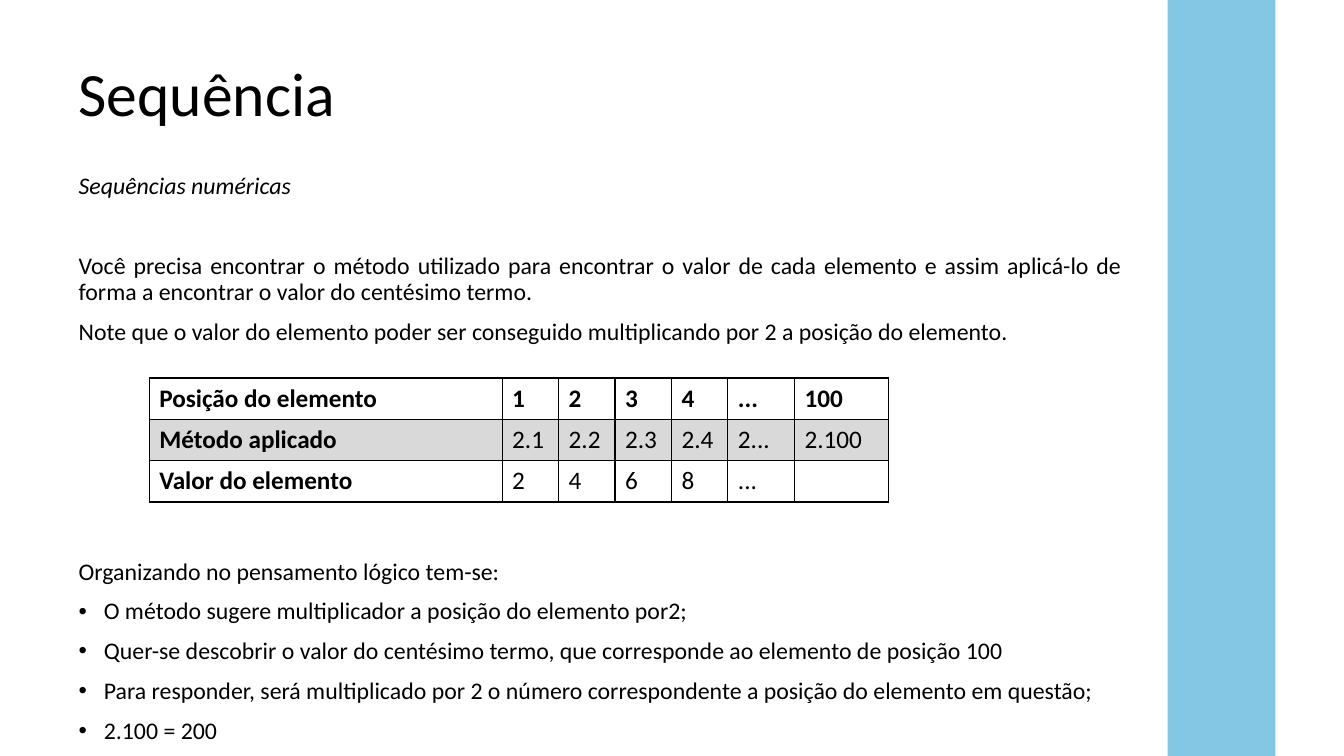
from dataclasses import dataclass

from lxml import etree
from pptx import Presentation
from pptx.dml.color import RGBColor
from pptx.enum.shapes import MSO_SHAPE
from pptx.enum.text import MSO_ANCHOR, MSO_AUTO_SIZE, PP_ALIGN
from pptx.oxml.ns import qn
from pptx.util import Inches, Pt

RECTANGLE = MSO_SHAPE.RECTANGLE
TOP, MIDDLE = MSO_ANCHOR.TOP, MSO_ANCHOR.MIDDLE
LEFT, JUSTIFY = PP_ALIGN.LEFT, PP_ALIGN.JUSTIFY
NO_AUTOFIT = MSO_AUTO_SIZE.NONE

COLORS = {"stripe": "83C7E5", "ink": "000000", "paper": "FFFFFF", "method": "D9D9D9"}
FONT = "Calibri"
BULLET_INDENT = Inches(0.25)


@dataclass(frozen=True)
class Line:
    text: str
    before: float = 10
    italic: bool = False
    bullet: bool = False


@dataclass(frozen=True)
class TableRow:
    label: str
    values: tuple[str, ...]
    fill: str = "paper"
    bold: bool = False


EXPLANATION = (
    Line("Sequências numéricas", before=0, italic=True),
    Line("Você precisa encontrar o método utilizado para encontrar o valor de cada "
         "elemento e assim aplicá-lo de forma a encontrar o valor do centésimo termo.",
         before=38.7),
    Line("Note que o valor do elemento poder ser conseguido multiplicando por 2 "
         "a posição do elemento."),
    Line("Organizando no pensamento lógico tem-se:", before=153),
    Line("O método sugere multiplicador a posição do elemento por2;", bullet=True),
    Line("Quer-se descobrir o valor do centésimo termo, que corresponde ao elemento "
         "de posição 100", bullet=True),
    Line("Para responder, será multiplicado por 2 o número correspondente a posição "
         "do elemento em questão;", bullet=True),
    Line("2.100 = 200", bullet=True),
)

SEQUENCE_ROWS = (
    TableRow("Posição do elemento", ("1", "2", "3", "4", "...", "100"), bold=True),
    TableRow("Método aplicado", ("2.1", "2.2", "2.3", "2.4", "2...", "2.100"), "method"),
    TableRow("Valor do elemento", ("2", "4", "6", "8", "...", "")),
)
COLUMN_WIDTHS = (3.5, 0.56, 0.56, 0.56, 0.56, 0.66, 0.93)
ROW_HEIGHT = 0.41


def color(name: str) -> RGBColor:
    return RGBColor.from_string(COLORS[name])


def write(paragraph, text: str, *, size: float, bold: bool = False, italic: bool = False,
          align=LEFT, before: float = 0, spacing: float = 1.0) -> None:
    paragraph.alignment = align
    paragraph.line_spacing = spacing
    paragraph.space_before = Pt(before)
    run = paragraph.add_run()
    run.text = text
    run.font.name = FONT
    run.font.size = Pt(size)
    run.font.bold = bold
    run.font.italic = italic
    run.font.color.rgb = color("ink")


def set_bullet(paragraph, bullet: bool) -> None:
    properties = paragraph._p.get_or_add_pPr()
    indent = BULLET_INDENT if bullet else 0
    properties.set("marL", str(indent))
    properties.set("indent", str(-indent))
    if bullet:
        etree.SubElement(properties, qn("a:buFont"), typeface="Arial")
        etree.SubElement(properties, qn("a:buChar"), char="•")
    else:
        etree.SubElement(properties, qn("a:buNone"))


def place(placeholder, top: float, height: float, anchor):
    placeholder.left, placeholder.top = Inches(0.68), Inches(top)
    placeholder.width, placeholder.height = Inches(10.55), Inches(height)
    frame = placeholder.text_frame
    frame.word_wrap = True
    frame.auto_size = NO_AUTOFIT
    frame.vertical_anchor = anchor
    return frame


def draw_stripe(slide) -> None:
    stripe = slide.shapes.add_shape(RECTANGLE, Inches(11.58), 0, Inches(1.07), Inches(7.5))
    stripe.shadow.inherit = False
    stripe.fill.solid()
    stripe.fill.fore_color.rgb = color("stripe")
    stripe.line.fill.background()


def draw_explanation(frame, lines: tuple[Line, ...]) -> None:
    for index, line in enumerate(lines):
        paragraph = frame.add_paragraph() if index else frame.paragraphs[0]
        set_bullet(paragraph, line.bullet)
        write(paragraph, line.text, size=17, italic=line.italic, align=JUSTIFY,
              before=line.before, spacing=0.9)


def outline_cell(cell) -> None:
    properties = cell._tc.get_or_add_tcPr()
    for side in ("a:lnL", "a:lnR", "a:lnT", "a:lnB"):
        border = etree.SubElement(properties, qn(side), w=str(Pt(1)))
        fill = etree.SubElement(border, qn("a:solidFill"))
        etree.SubElement(fill, qn("a:srgbClr"), val=COLORS["ink"])


def draw_sequence(slide, rows: tuple[TableRow, ...]) -> None:
    sequence = slide.shapes.add_table(
        len(rows), len(COLUMN_WIDTHS), Inches(1.48), Inches(3.75),
        Inches(sum(COLUMN_WIDTHS)), Inches(ROW_HEIGHT * len(rows))).table
    sequence.first_row = False
    sequence.horz_banding = False
    for column, width in zip(sequence.columns, COLUMN_WIDTHS):
        column.width = Inches(width)
    for row_index, row in enumerate(rows):
        sequence.rows[row_index].height = Inches(ROW_HEIGHT)
        for column_index, text in enumerate((row.label, *row.values)):
            cell = sequence.cell(row_index, column_index)
            outline_cell(cell)
            cell.fill.solid()
            cell.fill.fore_color.rgb = color(row.fill)
            if text:
                write(cell.text_frame.paragraphs[0], text, size=18,
                      bold=row.bold or column_index == 0)


def main() -> None:
    presentation = Presentation()
    presentation.slide_width = Inches(13.33)
    presentation.slide_height = Inches(7.5)
    slide = presentation.slides.add_slide(presentation.slide_layouts[1])
    draw_stripe(slide)
    heading = place(slide.shapes.title, 0.23, 1.45, MIDDLE)
    write(heading.paragraphs[0], "Sequência", size=44, spacing=0.9)
    draw_explanation(place(slide.placeholders[1], 1.68, 4.76, TOP), EXPLANATION)
    draw_sequence(slide, SEQUENCE_ROWS)
    presentation.save("out.pptx")


if __name__ == "__main__":
    main()
